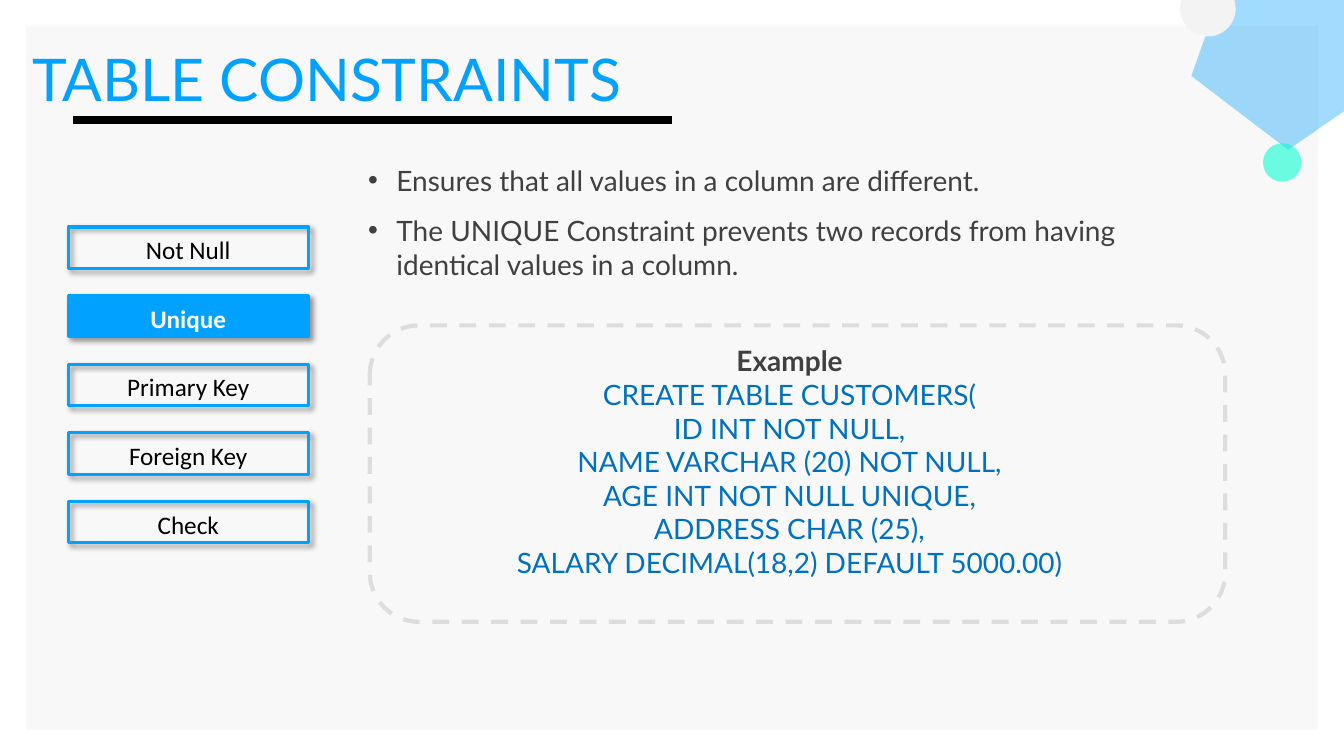
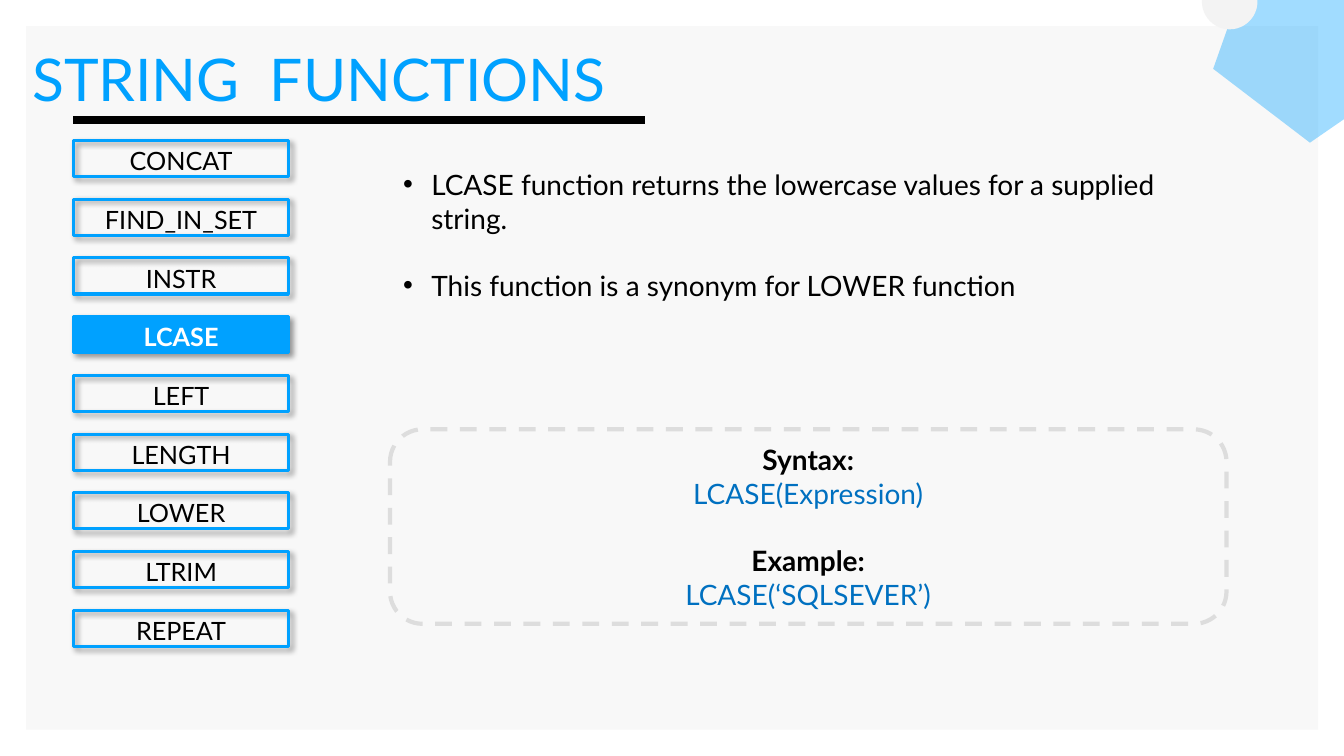
from dataclasses import dataclass

from lxml.etree import SubElement
from pptx import Presentation
from pptx.dml.color import RGBColor
from pptx.enum.dml import MSO_LINE
from pptx.enum.shapes import MSO_CONNECTOR, MSO_SHAPE
from pptx.enum.text import MSO_ANCHOR, MSO_AUTO_SIZE, PP_ALIGN
from pptx.oxml.ns import qn
from pptx.util import Cm, Pt


@dataclass(frozen=True)
class Theme:
    blue: str = "00A1FF"
    mint: str = "00FFD0"
    panel: str = "F8F8F8"
    dot: str = "F3F3F3"
    dash: str = "DDDDDD"
    code: str = "0070C0"
    black: str = "000000"
    grey: str = "404040"
    white: str = "FFFFFF"
    font: str = "Lato"
    menu_font: str = "Calibri"
    title_size: int = 42
    body_size: int = 20
    menu_size: int = 18


THEME = Theme()

# Content: all lengths in centimetres, spacing in points
TOPICS = [
    dict(
        title="TABLE CONSTRAINTS", rule_end=16.94, decor_shift=(0, 0), mint_dot=True,
        menu=dict(items=["Not Null", "Unique", "Primary Key", "Foreign Key", "Check"],
                  active="Unique", left=1.72, top=5.72, width=6.05, height=1.04,
                  pitch=1.73, font=THEME.menu_font),
        ink=THEME.grey,
        points=["Ensures that all values in a column are different.",
                "The UNIQUE Constraint prevents two records from having "
                "identical values in a column."],
        points_box=(9.17, 4.12, 21.44, 3.6), points_gap=11.7,
        example_box=(9.32, 8.2, 21.56, 7.47), example_right=0.4,
        example=[("Example", ["CREATE TABLE CUSTOMERS(",
                              "ID INT NOT NULL,",
                              "NAME VARCHAR (20) NOT NULL,",
                              "AGE INT NOT NULL UNIQUE,",
                              "ADDRESS CHAR (25),",
                              "SALARY DECIMAL(18,2) DEFAULT 5000.00)"])],
    ),
    dict(
        title="STRING  FUNCTIONS", rule_end=16.26, decor_shift=(0.55, -0.18), mint_dot=False,
        menu=dict(items=["CONCAT", "FIND_IN_SET", "INSTR", "LCASE", "LEFT",
                         "LENGTH", "LOWER", "LTRIM", "REPEAT"],
                  active="LCASE", left=1.86, top=3.54, width=5.41, height=0.91,
                  pitch=1.48, font=THEME.font),
        ink=THEME.black,
        points=["LCASE function returns the lowercase values for a supplied string.",
                "This function is a synonym for LOWER function"],
        points_box=(10.05, 4.22, 20.57, 5), points_gap=24,
        example_box=(9.83, 10.82, 21.08, 4.9), example_right=0,
        example=[("Syntax:", ["LCASE(Expression)"]),
                 ("Example:", ["LCASE(‘SQLSEVER’)"])],
    ),
]


# Formatting helpers
def apply(target, values):
    for name, value in values.items():
        setattr(target, name, value)


def place(shape, box):
    apply(shape, dict(zip(("left", "top", "width", "height"), map(Cm, box))))


def setup_frame(frame, anchor=MSO_ANCHOR.TOP, top=0, right=0):
    apply(frame, dict(margin_left=0, margin_right=Cm(right), margin_top=Cm(top),
                      margin_bottom=0, word_wrap=True,
                      auto_size=MSO_AUTO_SIZE.NONE, vertical_anchor=anchor))


def write(paragraph, text, size, color, font=THEME.font, bold=False,
          align=PP_ALIGN.LEFT, before=0):
    paragraph.text = text
    apply(paragraph, dict(alignment=align, space_before=Pt(before), line_spacing=1.0))
    apply(paragraph.font, dict(size=Pt(size), name=font, bold=bold))
    paragraph.font.color.rgb = RGBColor.from_string(color)


def paragraphs(frame, count):
    """Return count paragraphs, starting with the one the frame already has."""
    return [frame.paragraphs[0]] + [frame.add_paragraph() for _ in range(count - 1)]


def add_bullet(paragraph):
    properties = paragraph._p.get_or_add_pPr()
    properties.set("marL", str(Cm(0.82)))
    properties.set("indent", str(Cm(-0.71)))
    SubElement(properties, qn("a:buFont"), typeface="Arial")
    SubElement(properties, qn("a:buChar"), char="•")


def add_shadow(shape):
    effects = shape.element.spPr.find(qn("a:effectLst"))
    shadow = SubElement(effects, qn("a:outerShdw"), blurRad=str(Pt(4)), dist=str(Pt(3)),
                        dir="2700000", algn="tl", rotWithShape="0")
    color = SubElement(shadow, qn("a:srgbClr"), val=THEME.black)
    SubElement(color, qn("a:alpha"), val="40000")


def draw_shape(slide, kind, box, fill=None, opacity=100, line=None, line_width=0):
    shape = slide.shapes.add_shape(kind, *map(Cm, box))
    if fill:
        shape.fill.solid()
        shape.fill.fore_color.rgb = RGBColor.from_string(fill)
        if opacity < 100:
            color = shape.element.spPr.find(qn("a:solidFill"))[0]
            SubElement(color, qn("a:alpha"), val=str(opacity * 1000))
    else:
        shape.fill.background()
    if line:
        shape.line.color.rgb = RGBColor.from_string(line)
        shape.line.width = Pt(line_width)
    else:
        shape.line.fill.background()
    shape.shadow.inherit = False
    return shape


# Slide parts
def move_panel_to_master(prs, slide):
    """Draw the grey panel once and keep it on the master, behind everything."""
    panel = draw_shape(slide, MSO_SHAPE.RECTANGLE, (0.66, 0.66, 32.56, 17.73), THEME.panel)
    prs.slide_master.shapes.element.insert(2, panel.element)


def draw_decor(slide, shift, mint_dot):
    dx, dy = shift
    pentagon = draw_shape(slide, MSO_SHAPE.REGULAR_PENTAGON,
                          (29.9 + dx, -1.4 + dy, 4.98, 4.72), THEME.blue, 37)
    pentagon.rotation = 325.4
    if mint_dot:
        draw_shape(slide, MSO_SHAPE.OVAL, (31.83, 3.61, 0.97, 0.97), THEME.mint, 57)
    draw_shape(slide, MSO_SHAPE.OVAL, (29.74 + dx, -0.48 + dy, 1.4, 1.4), THEME.dot)


def draw_title(slide, text, rule_end):
    title = slide.shapes.title
    place(title, (0.81, 1.07, 33.02, 1.4))
    setup_frame(title.text_frame)
    write(title.text_frame.paragraphs[0], text, THEME.title_size, THEME.blue)
    rule = slide.shapes.add_connector(MSO_CONNECTOR.STRAIGHT, Cm(1.85), Cm(3.02),
                                      Cm(rule_end), Cm(3.02))
    rule.line.color.rgb = RGBColor.from_string(THEME.black)
    rule.line.width = Pt(6)
    SubElement(rule.element.spPr, qn("a:effectLst"))


def draw_points(slide, topic):
    body = slide.placeholders[1]
    place(body, topic["points_box"])
    setup_frame(body.text_frame)
    points = topic["points"]
    for index, paragraph in enumerate(paragraphs(body.text_frame, len(points))):
        add_bullet(paragraph)
        write(paragraph, points[index], THEME.body_size, topic["ink"],
              before=topic["points_gap"] if index else 0)


def draw_example(slide, topic):
    card = draw_shape(slide, MSO_SHAPE.ROUNDED_RECTANGLE, topic["example_box"],
                      line=THEME.dash, line_width=3)
    card.line.dash_style = MSO_LINE.DASH
    setup_frame(card.text_frame, top=0.1, right=topic["example_right"])
    lines = []
    for heading, code in topic["example"]:
        gap = THEME.body_size * 1.2 if lines else 0
        lines.append(dict(text=heading, color=topic["ink"], bold=True, before=gap))
        lines += [dict(text=code_line, color=THEME.code) for code_line in code]
    for paragraph, line in zip(paragraphs(card.text_frame, len(lines)), lines):
        write(paragraph, size=THEME.body_size, align=PP_ALIGN.CENTER, **line)


def draw_menu(slide, items, active, left, top, width, height, pitch, font):
    for index, item in enumerate(items):
        selected = item == active
        y = top + index * pitch
        frame = draw_shape(slide, MSO_SHAPE.RECTANGLE, (left, y, width, height),
                           THEME.blue if selected else None,
                           line=THEME.blue, line_width=2.25)
        add_shadow(frame)
        # The label is separate so that the frame's shadow leaves the text clean
        label = slide.shapes.add_textbox(*map(Cm, (left, y + 0.05, width, height)))
        setup_frame(label.text_frame, MSO_ANCHOR.MIDDLE)
        write(label.text_frame.paragraphs[0], item, THEME.menu_size,
              THEME.white if selected else THEME.black, font, selected, PP_ALIGN.CENTER)


def main():
    prs = Presentation()
    prs.slide_width, prs.slide_height = Cm(33.87), Cm(19.05)
    for index, topic in enumerate(TOPICS):
        slide = prs.slides.add_slide(prs.slide_layouts[1])
        if index == 0:
            move_panel_to_master(prs, slide)
        draw_decor(slide, topic["decor_shift"], topic["mint_dot"])
        draw_title(slide, topic["title"], topic["rule_end"])
        draw_example(slide, topic)
        draw_points(slide, topic)
        draw_menu(slide, **topic["menu"])
    prs.save("out.pptx")


if __name__ == "__main__":
    main()
